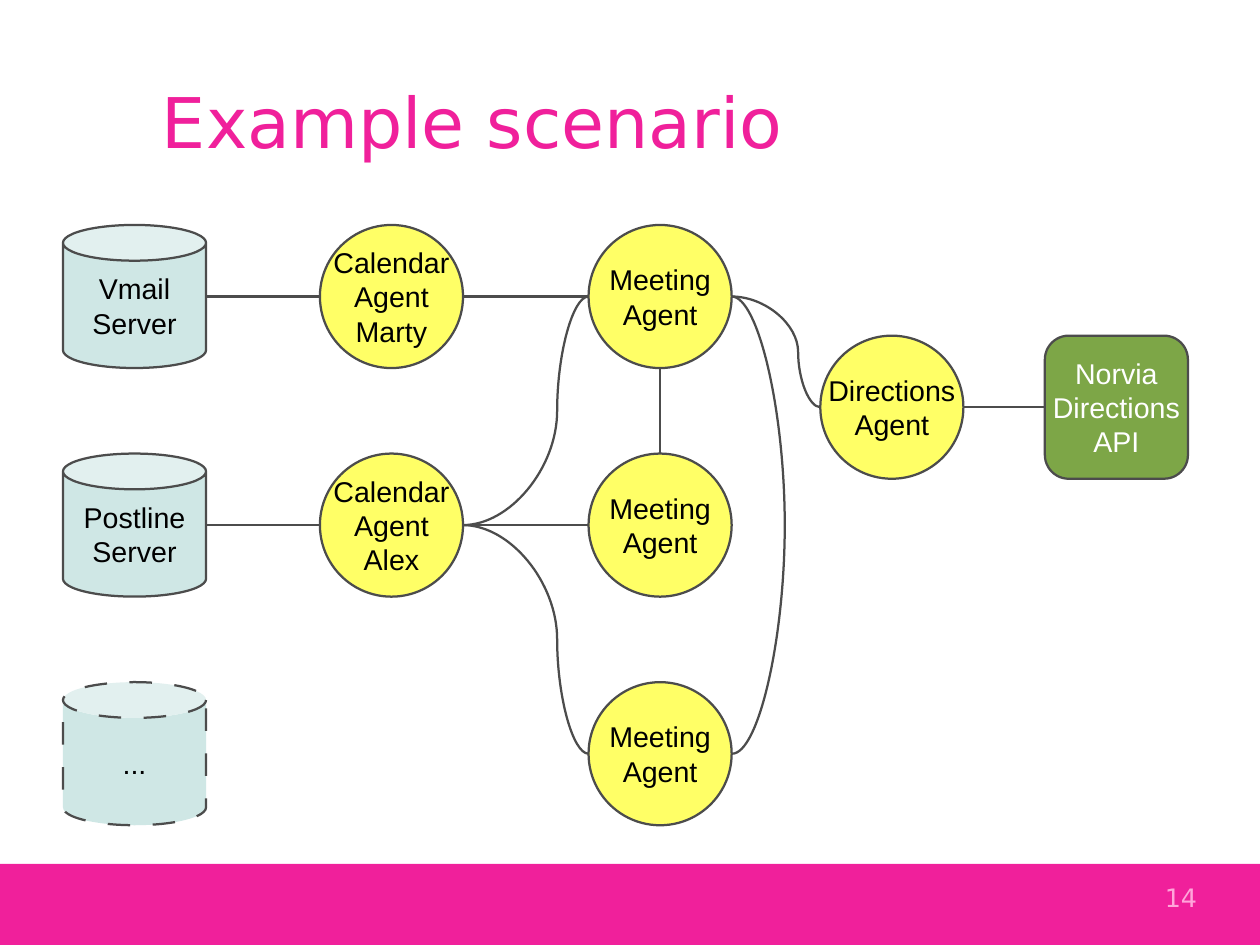
from lxml import etree
from pptx import Presentation
from pptx.dml.color import RGBColor
from pptx.enum.shapes import MSO_CONNECTOR, MSO_SHAPE
from pptx.enum.text import MSO_ANCHOR, PP_ALIGN
from pptx.oxml.ns import qn
from pptx.util import Cm, Pt

CAN, CIRCLE, ROUNDED = MSO_SHAPE.CAN, MSO_SHAPE.OVAL, MSO_SHAPE.ROUNDED_RECTANGLE
RECTANGLE = MSO_SHAPE.RECTANGLE
STRAIGHT, CURVE = MSO_CONNECTOR.STRAIGHT, MSO_CONNECTOR.CURVE
LEFT, CENTER, RIGHT = PP_ALIGN.LEFT, PP_ALIGN.CENTER, PP_ALIGN.RIGHT
TOP, MIDDLE = MSO_ANCHOR.TOP, MSO_ANCHOR.MIDDLE

THEME = {
    "pink": RGBColor.from_string("F0209B"),
    "pale_pink": RGBColor.from_string("FFA5DA"),
    "yellow": RGBColor.from_string("FFFF66"),
    "mint": RGBColor.from_string("CFE7E5"),
    "green": RGBColor.from_string("7DA647"),
    "outline": RGBColor.from_string("4C4C4C"),
    "black": RGBColor.from_string("000000"),
    "white": RGBColor.from_string("FFFFFF"),
    "heading_font": "DejaVu Sans",
    "body_font": "Arial",
    "title_size": Pt(44),
    "body_size": Pt(18),
    "number_size": Pt(16),
    "line_width": Pt(1.42),
}


def write_text(shape, lines, font, size, color, alignment, anchor, margins, wrap):
    frame = shape.text_frame
    horizontal, vertical = margins
    settings = {
        "margin_left": Cm(horizontal),
        "margin_right": Cm(horizontal),
        "margin_top": Cm(vertical),
        "margin_bottom": Cm(vertical),
        "vertical_anchor": anchor,
        "word_wrap": wrap,
    }
    for name, value in settings.items():
        setattr(frame, name, value)
    for index, line in enumerate(lines):
        paragraph = frame.paragraphs[0] if index == 0 else frame.add_paragraph()
        paragraph.alignment = alignment
        run = paragraph.add_run()
        run.text = line
        run.font.name = THEME[font]
        run.font.size = THEME[size]
        run.font.color.rgb = THEME[color]


def draw_link(kind, start, end):
    connector = slide.shapes.add_connector(kind, *(Cm(value) for value in start + end))
    connector.line.color.rgb = THEME["outline"]
    connector.line.width = THEME["line_width"]
    etree.SubElement(connector.element.spPr, qn("a:effectLst"))
    return connector


presentation = Presentation()
presentation.slide_width = Cm(28)
presentation.slide_height = Cm(21)
slide = presentation.slides.add_slide(presentation.slide_layouts[6])

footer = slide.shapes.add_shape(RECTANGLE, Cm(0), Cm(19.2), Cm(28), Cm(1.8))
footer.shadow.inherit = False
footer.fill.solid()
footer.fill.fore_color.rgb = THEME["pink"]
footer.line.fill.background()

labels = [
    ("Example scenario", (3.6, 1.62, 23, 2.1), "title_size", "pink", LEFT, MIDDLE),
    ("14", (18.8, 19.6, 7.8, 1.4), "number_size", "pale_pink", RIGHT, TOP),
]
for text, box, size, color, alignment, anchor in labels:
    label = slide.shapes.add_textbox(*(Cm(value) for value in box))
    write_text(label, [text], "heading_font", size, color, alignment, anchor, (0, 0), True)

NODE = 3.18
HALF = NODE / 2
ROWS = [5 + 5.08 * row for row in range(3)]
SERVER_X, CALENDAR_X, MEETING_X, DIRECTIONS_X, API_X = 1.4, 7.11, 13.08, 18.23, 23.22
DIRECTIONS_Y = 7.46

nodes = {
    "mail": (CAN, SERVER_X, ROWS[0], "mint", "black", ["Vmail", "Server"]),
    "office": (CAN, SERVER_X, ROWS[1], "mint", "black", ["Postline", "Server"]),
    "other": (CAN, SERVER_X, ROWS[2], "mint", "black", ["..."]),
    "marty": (CIRCLE, CALENDAR_X, ROWS[0], "yellow", "black", ["Calendar", "Agent", "Marty"]),
    "alex": (CIRCLE, CALENDAR_X, ROWS[1], "yellow", "black", ["Calendar", "Agent", "Alex"]),
    "directions": (CIRCLE, DIRECTIONS_X, DIRECTIONS_Y, "yellow", "black", ["Directions", "Agent"]),
    "api": (ROUNDED, API_X, DIRECTIONS_Y, "green", "white", ["Norvia", "Directions", "API"]),
}
for number, top in enumerate(ROWS, 1):
    nodes[f"meeting{number}"] = (CIRCLE, MEETING_X, top, "yellow", "black", ["Meeting", "Agent"])

shapes, left_side, right_side = {}, {}, {}
for name, (kind, left, top, fill, color, lines) in nodes.items():
    shape = slide.shapes.add_shape(kind, Cm(left), Cm(top), Cm(NODE), Cm(NODE))
    shape.shadow.inherit = False
    shape.fill.solid()
    shape.fill.fore_color.rgb = THEME[fill]
    shape.line.color.rgb = THEME["outline"]
    shape.line.width = THEME["line_width"]
    write_text(shape, lines, "body_font", "body_size", color, CENTER, MIDDLE, (0.28, 0.15), False)
    shapes[name] = shape
    left_side[name] = (left, top + HALF)
    right_side[name] = (left + NODE, top + HALF)

dashes = etree.SubElement(shapes["other"].line._get_or_add_ln(), qn("a:custDash"))
etree.SubElement(dashes, qn("a:ds"), d="1000000", sp="1000000")

straight_links = [
    ("mail", "marty"),
    ("office", "alex"),
    ("marty", "meeting1"),
    ("alex", "meeting2"),
    ("directions", "api"),
]
for source, target in straight_links:
    link = draw_link(STRAIGHT, right_side[source], left_side[target])
    if target == "api":
        link.end_connect(shapes["api"], 1)

meeting_center = MEETING_X + HALF
draw_link(STRAIGHT, (meeting_center, ROWS[0] + NODE), (meeting_center, ROWS[1]))

SLIVER = 0.01
bulge_x, bulge_y = right_side["meeting3"]
curved_links = [
    (right_side["alex"], left_side["meeting1"], 0.75),
    (right_side["alex"], left_side["meeting3"], 0.75),
    (right_side["meeting1"], left_side["directions"], 0.75),
    (right_side["meeting1"], (bulge_x + SLIVER, bulge_y), 1.18 / SLIVER),
]
for start, end, bend in curved_links:
    link = draw_link(CURVE, start, end)
    adjustments = link.element.spPr.find(".//" + qn("a:avLst"))
    etree.SubElement(adjustments, qn("a:gd"), name="adj1", fmla=f"val {round(bend * 100000)}")

presentation.save("out.pptx")
